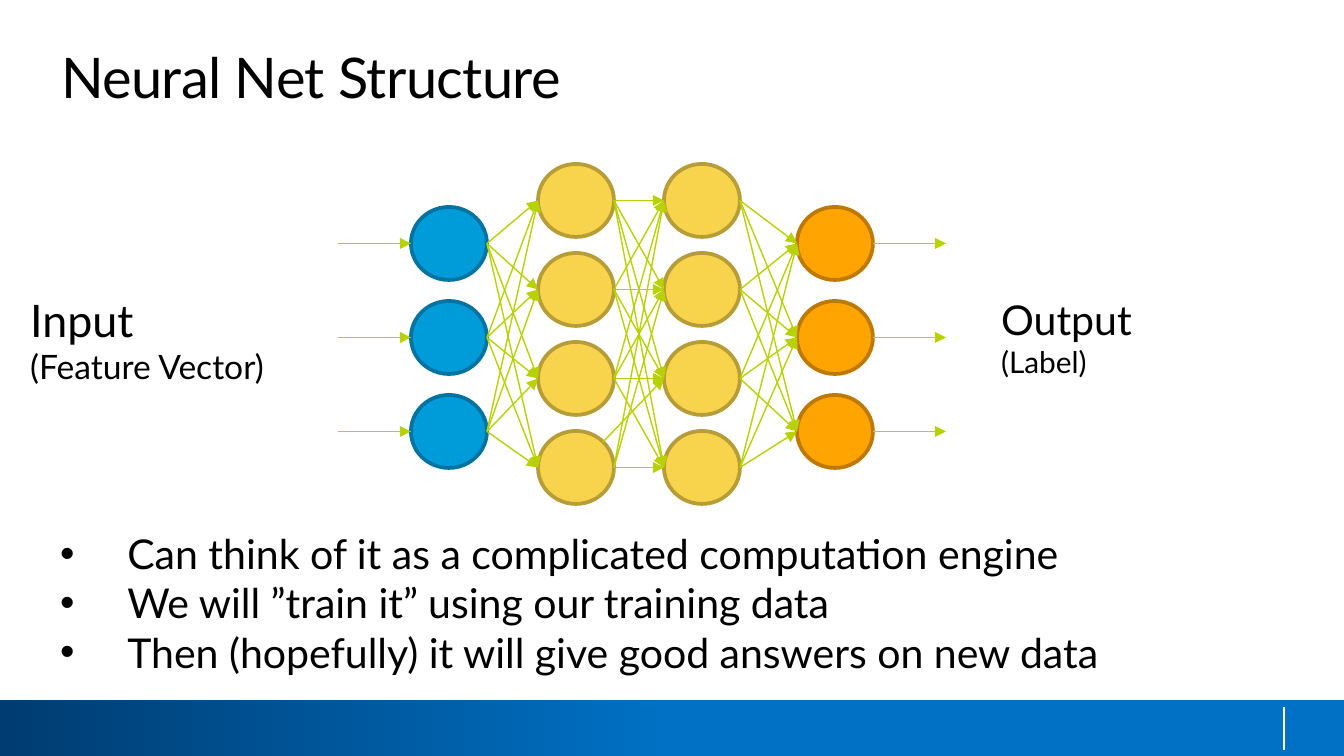
import itertools

import pptx
import pptx.dml.color
import pptx.enum.shapes
import pptx.enum.text
import pptx.oxml
import pptx.oxml.ns
import pptx.util

PX = 914400 / 134.4
FONT = "Lato"
COLORS = {
    "text": "000000",
    "divider": "FFFFFF",
    "footer_start": "003C71",
    "footer_end": "0071C5",
    "arrow": "B7D103",
    "input": "009CDA",
    "input_edge": "0073A1",
    "hidden": "F8D44C",
    "hidden_edge": "B79D38",
    "output": "FFA400",
    "output_edge": "BD7900",
}
NODE_WIDTH, NODE_HEIGHT = 76, 73
OUTER_ROWS = [207 + 94 * row for row in range(3)]
HIDDEN_ROWS = [164 + 89 * row for row in range(4)]
LAYERS = [
    ("input", 411, OUTER_ROWS),
    ("hidden", 538, HIDDEN_ROWS),
    ("hidden", 664, HIDDEN_ROWS),
    ("output", 797, OUTER_ROWS),
]
ARROW_LENGTH = 73
BULLETS = [
    "Can think of it as a complicated computation engine",
    "We will ”train it” using our training data",
    "Then (hopefully) it will give good answers on new data",
]


def px(length):
    """Turn pixels into EMU."""
    return pptx.util.Emu(round(length * PX))


def rgb(name):
    """Look up a named colour."""
    return pptx.dml.color.RGBColor.from_string(COLORS[name])


def add_child(parent, tag, **attributes):
    """Append a DrawingML element to a parent element."""
    child = pptx.oxml.parse_xml(f'<a:{tag} {pptx.oxml.ns.nsdecls("a")}/>')
    for key, value in attributes.items():
        child.set(key, value)
    parent.append(child)


def add_run(paragraph, text, size):
    """Add one formatted run to a paragraph."""
    run = paragraph.add_run()
    run.text = text
    run.font.name = FONT
    run.font.size = pptx.util.Pt(size)
    run.font.color.rgb = rgb("text")
    return run


def add_line(shapes, start, end, color, arrow=False):
    """Draw a thin straight line, with an arrowhead if asked."""
    line = shapes.add_connector(
        pptx.enum.shapes.MSO_CONNECTOR.STRAIGHT, *map(px, start + end)
    )
    line.line.color.rgb = rgb(color)
    line.line.width = pptx.util.Pt(0.75)
    if arrow:
        add_child(line.line._get_or_add_ln(), "tailEnd", type="triangle")
    add_child(line._element.spPr, "effectLst")


def add_node(shapes, kind, left, top):
    """Draw one neuron of the network."""
    node = shapes.add_shape(
        pptx.enum.shapes.MSO_SHAPE.OVAL,
        *map(px, (left, top, NODE_WIDTH, NODE_HEIGHT)),
    )
    node.shadow.inherit = False
    node.fill.solid()
    node.fill.fore_color.rgb = rgb(kind)
    node.line.color.rgb = rgb(kind + "_edge")
    node.line.width = pptx.util.Pt(2)


def add_network(slide):
    """Draw the layers of neurons and the arrows between them."""
    shapes = slide.shapes.add_group_shape().shapes
    for kind, left, tops in LAYERS:
        for top in tops:
            add_node(shapes, kind, left, top)

    middle = NODE_HEIGHT / 2
    for layer, following in itertools.pairwise(LAYERS):
        right = layer[1] + NODE_WIDTH
        for source, target in itertools.product(layer[2], following[2]):
            start = (right, source + middle)
            if layer is LAYERS[1] and (source, target) == (HIDDEN_ROWS[3], HIDDEN_ROWS[2]):
                start = (right - 11, source + 11)
            add_line(shapes, start, (following[1], target + middle), "arrow", True)

    input_left = LAYERS[0][1]
    output_right = LAYERS[-1][1] + NODE_WIDTH
    for left, top in itertools.product((output_right, input_left - ARROW_LENGTH), OUTER_ROWS):
        y = top + middle
        add_line(shapes, (left, y), (left + ARROW_LENGTH, y), "arrow", True)


def add_text(slide, box, lines, bullet=None):
    """Add a text box with one hanging paragraph for each text and size."""
    frame = slide.shapes.add_textbox(*map(px, box)).text_frame
    frame.word_wrap = True
    frame.auto_size = pptx.enum.text.MSO_AUTO_SIZE.SHAPE_TO_FIT_TEXT
    for index, (text, size) in enumerate(lines):
        paragraph = frame.add_paragraph() if index else frame.paragraphs[0]
        properties = paragraph._p.get_or_add_pPr()
        indent = pptx.util.Inches(0.5)
        properties.set("marL", str(indent))
        properties.set("indent", str(-indent))
        if bullet:
            add_child(properties, "buFont", typeface="Arial")
            add_child(properties, "buChar", char=bullet)
        add_run(paragraph, text, size)


def add_footer(slide):
    """Draw the gradient footer bar and its divider."""
    bar = slide.shapes.add_shape(
        pptx.enum.shapes.MSO_SHAPE.RECTANGLE, *map(px, (0, 700, 1344, 56))
    )
    bar.shadow.inherit = False
    bar.line.fill.background()
    bar.fill.gradient()
    bar.fill.gradient_angle = 0
    stops = ((0, "footer_start"), (0.5, "footer_end"))
    for stop, (position, color) in zip(bar.fill.gradient_stops, stops):
        stop.position = position
        stop.color.rgb = rgb(color)
    add_line(slide.shapes, (1284, 707), (1284, 750), "divider")


def set_title(slide, text):
    """Place and format the title placeholder."""
    title = slide.shapes.title
    title.left, title.top, title.width, title.height = map(px, (59, 43, 1241, 67))
    frame = title.text_frame
    frame.margin_left = frame.margin_right = frame.margin_top = frame.margin_bottom = 0
    frame.vertical_anchor = pptx.enum.text.MSO_ANCHOR.TOP
    frame.auto_size = pptx.enum.text.MSO_AUTO_SIZE.SHAPE_TO_FIT_TEXT
    paragraph = frame.paragraphs[0]
    paragraph.alignment = pptx.enum.text.PP_ALIGN.LEFT
    paragraph._p.get_or_add_pPr().set("marL", str(px(2)))
    run = add_run(paragraph, text, 30)
    run.font._element.set("spc", "-30")


def main():
    """Build the slide and save it."""
    presentation = pptx.Presentation()
    presentation.slide_width, presentation.slide_height = px(1344), px(756)
    slide = presentation.slides.add_slide(presentation.slide_layouts[5])
    add_footer(slide)
    set_title(slide, "Neural Net Structure")
    add_network(slide)
    add_text(slide, (17, 286, 276, 109), [("Input", 24), ("(Feature Vector)", 18)])
    add_text(slide, (988, 288, 312, 99), [("Output", 22), ("(Label)", 16)])
    add_text(slide, (47, 522, 1173, 163), [(text, 22) for text in BULLETS], "•")
    presentation.save("out.pptx")


if __name__ == "__main__":
    main()
